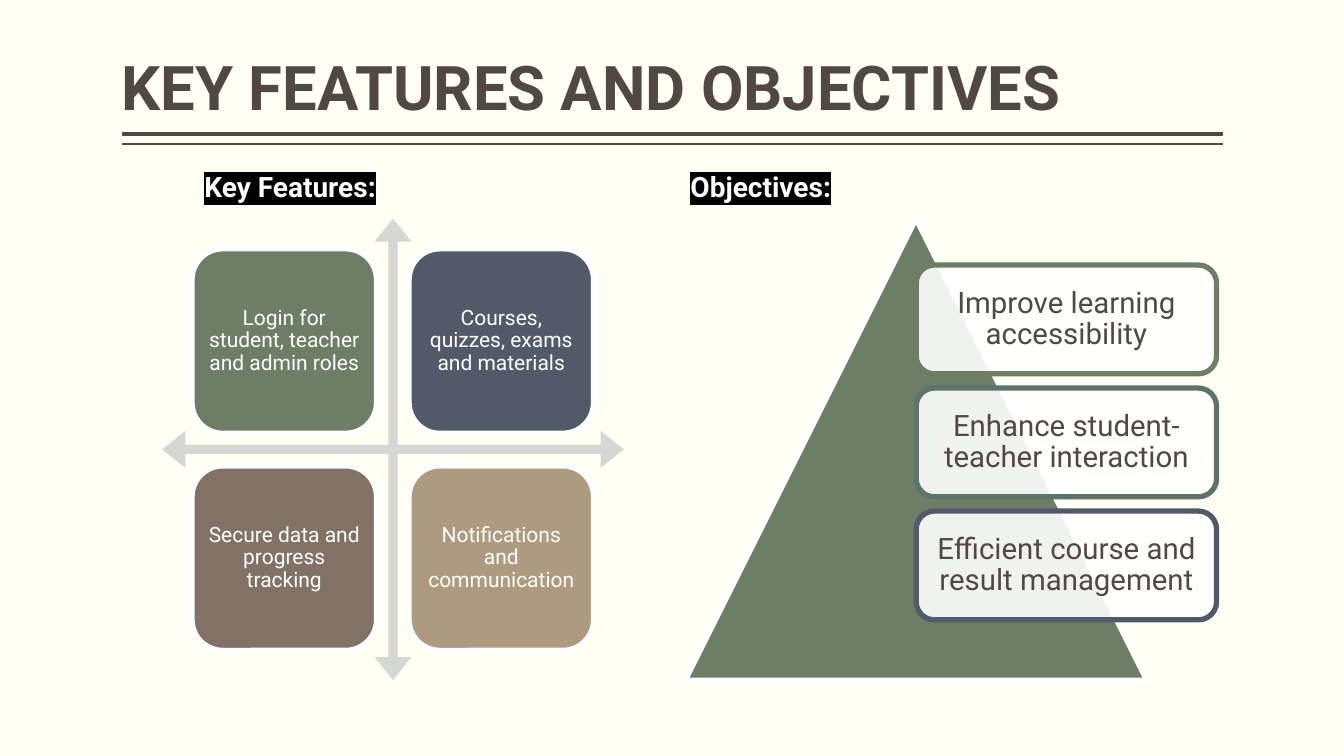
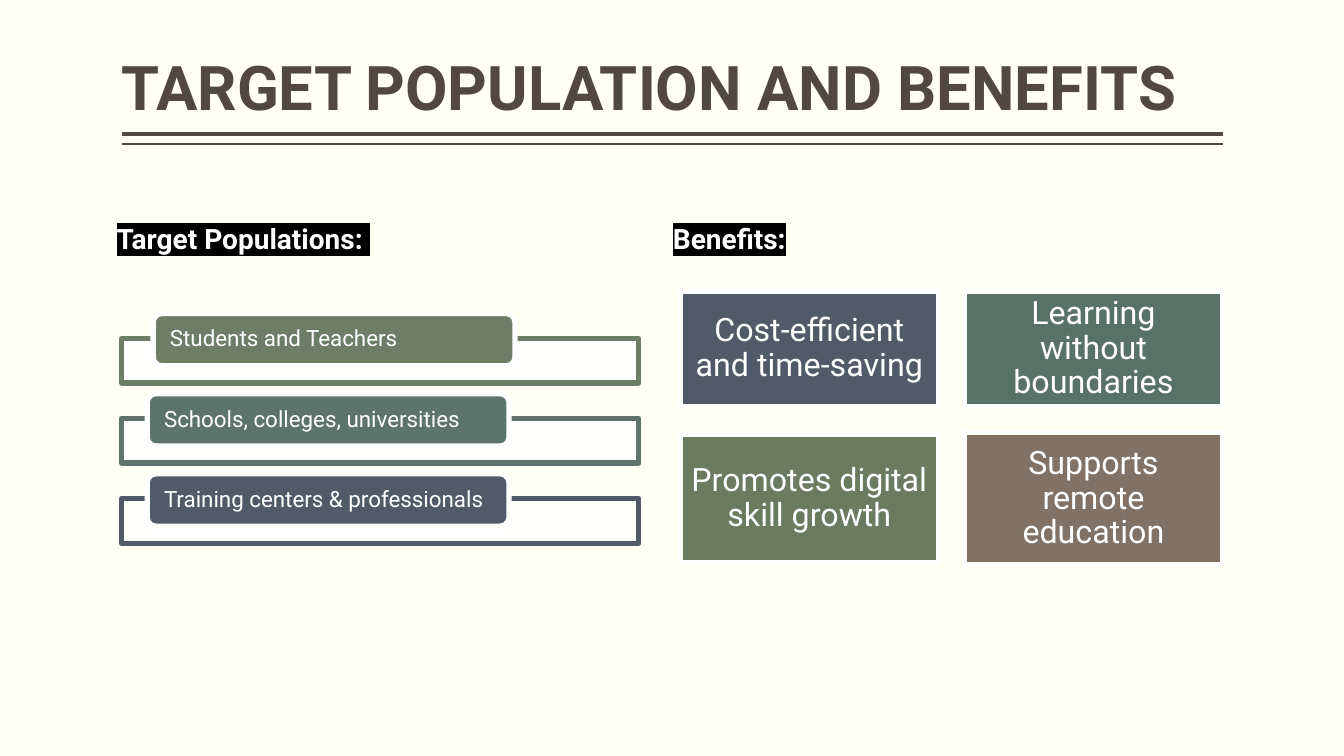
from lxml import etree
from pptx import Presentation
from pptx.dml.color import RGBColor
from pptx.enum.shapes import MSO_CONNECTOR, MSO_SHAPE
from pptx.enum.text import MSO_ANCHOR, MSO_AUTO_SIZE, PP_ALIGN
from pptx.oxml.ns import qn
from pptx.util import Cm, Pt

STRAIGHT = MSO_CONNECTOR.STRAIGHT
RECTANGLE, ROUNDED = MSO_SHAPE.RECTANGLE, MSO_SHAPE.ROUNDED_RECTANGLE
TRIANGLE, QUAD_ARROW = MSO_SHAPE.ISOSCELES_TRIANGLE, MSO_SHAPE.QUAD_ARROW
MIDDLE, BOTTOM = MSO_ANCHOR.MIDDLE, MSO_ANCHOR.BOTTOM
LEFT, CENTER = PP_ALIGN.LEFT, PP_ALIGN.CENTER
GROW = MSO_AUTO_SIZE.SHAPE_TO_FIT_TEXT

FONT = "Roboto"
PAPER, WHITE, BLACK, BROWN = "FFFFF3", "FFFFFF", "000000", "514843"
GREEN, TEAL, SLATE = "6D7D66", "5C746C", "525A6A"
TAUPE, SAND, GRAY = "827266", "AE9A7E", "D4D7D3"
PINE, OLIVE = "597268", "6C7A5F"
OUTLINE = 3.78
MARGIN, CONTENT_WIDTH = 3.07, 27.74


def color(hex_code):
    return RGBColor.from_string(hex_code)


class Deck:
    """Holds the shared style and the slide being built."""

    def __init__(self):
        self.presentation = Presentation()
        self.presentation.slide_width = Cm(33.87)
        self.presentation.slide_height = Cm(19.05)
        self.slide = None

    def add_slide(self, title):
        self.slide = self.presentation.slides.add_slide(self.presentation.slide_layouts[6])
        background = self.slide.background.fill
        background.solid()
        background.fore_color.rgb = color(PAPER)
        self.rule(3.38, 3)
        self.rule(3.63, 1)
        frame = self.text_box(MARGIN, 0.2, CONTENT_WIDTH, 3.05)
        frame.word_wrap = True
        self.set_text(frame, title, 44, BROWN, LEFT, (0, 0.13), BOTTOM, bold=True)

    def rule(self, top, weight):
        line = self.slide.shapes.add_connector(
            STRAIGHT, Cm(MARGIN), Cm(top), Cm(MARGIN + CONTENT_WIDTH), Cm(top))
        line.line.color.rgb = color(BROWN)
        line.line.width = Pt(weight)
        etree.SubElement(line._element.spPr, qn("a:effectLst"))

    def text_box(self, left, top, width, height):
        return self.slide.shapes.add_textbox(Cm(left), Cm(top), Cm(width), Cm(height)).text_frame

    def set_text(self, frame, text, size, ink, align, insets, anchor=MIDDLE, bold=False, spacing=0.9):
        """Fill a text frame with one paragraph; insets are (sides, top and bottom)."""
        sides, ends = insets
        frame.margin_left = frame.margin_right = Cm(sides)
        frame.margin_top = frame.margin_bottom = Cm(ends)
        frame.vertical_anchor = anchor
        paragraph = frame.paragraphs[0]
        run = paragraph.add_run()
        run.text = text
        paragraph.alignment = align
        paragraph.line_spacing = spacing
        font = paragraph.font
        font.name, font.size, font.bold = FONT, Pt(size), bold
        font.color.rgb = color(ink)
        return run

    def heading(self, text, left, top, width):
        """Bold white label on a black highlight."""
        frame = self.text_box(left, top, width, 1.12)
        frame.word_wrap = False
        frame.auto_size = GROW
        run = self.set_text(frame, text, 20, WHITE, LEFT, (0.25, 0.13), bold=True, spacing=1.0)
        highlight = etree.SubElement(run._r.get_or_add_rPr(), qn("a:highlight"))
        etree.SubElement(highlight, qn("a:srgbClr"), val=BLACK)

    def shape(self, kind, left, top, width, height, fill, line=WHITE, alpha=None):
        shape = self.slide.shapes.add_shape(kind, Cm(left), Cm(top), Cm(width), Cm(height))
        shape.shadow.inherit = False
        shape.fill.solid()
        shape.fill.fore_color.rgb = color(fill)
        if alpha is not None:
            fill_color = shape._element.spPr.find(qn("a:solidFill"))[0]
            etree.SubElement(fill_color, qn("a:alpha"), val=str(alpha * 1000))
        if line is None:
            shape.line.fill.background()
        else:
            shape.line.color.rgb = color(line)
            shape.line.width = Pt(OUTLINE)
        shape.text_frame.word_wrap = True
        return shape


def features_slide(deck):
    deck.add_slide("KEY FEATURES AND OBJECTIVES")

    cross = deck.shape(QUAD_ARROW, 4.09, 5.51, 11.63, 11.63, GRAY, line=None)
    for index, value in enumerate((0.02, 0.04, 0.05)):
        cross.adjustments[index] = value
    features = [
        ("Login for student, teacher and admin roles", GREEN),
        ("Courses, quizzes, exams and materials", SLATE),
        ("Secure data and progress tracking", TAUPE),
        ("Notifications and communication", SAND),
    ]
    pitch = 5.47
    for index, (text, fill) in enumerate(features):
        row, column = divmod(index, 2)
        tile = deck.shape(ROUNDED, 4.84 + column * pitch, 6.27 + row * pitch, 4.65, 4.65, fill)
        deck.set_text(tile.text_frame, text, 15, WHITE, CENTER, (0.15, 0.15))

    deck.shape(TRIANGLE, 17.27, 5.51, 11.63, 11.63, GREEN)
    objectives = [
        ("Improve learning accessibility", GREEN),
        ("Enhance student-teacher interaction", TEAL),
        ("Efficient course and result management", SLATE),
    ]
    for row, (text, line) in enumerate(objectives):
        card = deck.shape(ROUNDED, 23.09, 6.68 + row * 3.1, 7.57, 2.74, WHITE, line, alpha=90)
        deck.set_text(card.text_frame, text, 21, BROWN, CENTER, (0.23, 0.23))

    deck.heading("Key Features:", 4.9, 4.14, 4.88)
    deck.heading("Objectives:", 17.15, 4.14, 4.09)


def benefits_slide(deck):
    deck.add_slide("TARGET POPULATION AND BENEFITS")

    populations = [
        ("Students and Teachers", GREEN, 3.86),
        ("Schools, colleges, universities", TEAL, 3.71),
        ("Training centers & professionals", SLATE, 3.71),
    ]
    for row, (text, accent, left) in enumerate(populations):
        offset = row * 2.02
        deck.shape(RECTANGLE, MARGIN, 8.53 + offset, 13.03, 1.12, WHITE, accent, alpha=90)
        tab = deck.shape(ROUNDED, left, 7.9 + offset, 9.12, 1.32, accent)
        deck.set_text(tab.text_frame, text, 16, WHITE, LEFT, (0.36, 0))
    deck.heading("Target Populations: ", 2.69, 5.44, 6.91)

    left_column, right_column = 17.15, 24.31
    benefits = [
        ("Cost-efficient and time-saving", SLATE, left_column, 7.34, 2.9),
        ("Learning without boundaries", PINE, right_column, 7.34, 2.9),
        ("Promotes digital skill growth", OLIVE, left_column, 10.95, 3.23),
        ("Supports remote education", TAUPE, right_column, 10.9, 3.33),
    ]
    for text, fill, left, top, height in benefits:
        block = deck.shape(RECTANGLE, left, top, 6.5, height, fill)
        deck.set_text(block.text_frame, text, 23, WHITE, CENTER, (0.25, 0.25))
    deck.heading("Benefits:", 16.71, 5.44, 3.51)


def main():
    deck = Deck()
    features_slide(deck)
    benefits_slide(deck)
    deck.presentation.save("out.pptx")


if __name__ == "__main__":
    main()
